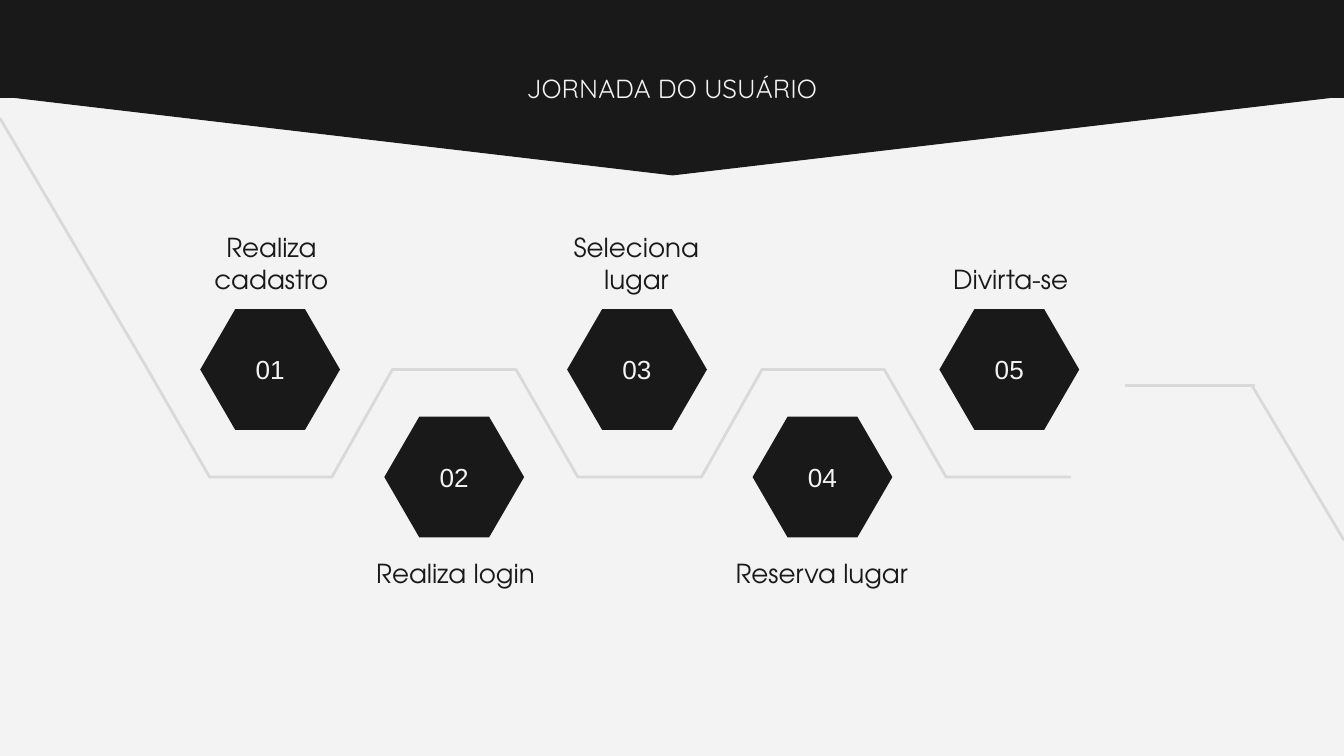
"""Builds the user journey slide: a pointed header and five numbered steps."""
from lxml import etree
from pptx import Presentation, util as u
from pptx.dml.color import RGBColor
from pptx.enum import shapes, text
from pptx.oxml.ns import qn

WIDTH = 10
HEIGHT = WIDTH * 9 / 16
DARK = RGBColor(0x19, 0x19, 0x19)
PALE = RGBColor(0xF3, 0xF3, 0xF3)
TRACK = RGBColor(0xD9, 0xD9, 0xD9)

HEX_W, HEX_H = 1.04, 0.9
ROW_TOPS = (2.3, 3.1)
LABEL_TOPS = (1.82, 4.01)
LABEL_H = 0.47
STEPS = (
    ("Realiza cadastro", 1.49, 1.14, 1.76),
    ("Realiza login", 2.86, 2.53, 1.72),
    ("Seleciona lugar", 4.22, 3.92, 1.63),
    ("Reserva lugar", 5.6, 5.3, 1.63),
    ("Divirta-se", 6.99, 6.64, 1.76),
)
TRACK_XS = (1.1, 1.56, 2.47, 2.92, 3.84, 4.3, 5.22, 5.67, 6.58, 7.04, 7.97)


def inches(*lengths):
    """Convert lengths in inches to slide units."""
    return [u.Inches(length) for length in lengths]


def write(shape, words, font="Arial", color=PALE, anchor=text.MSO_ANCHOR.MIDDLE, margin=0.1):
    """Set centred 14 pt text in a shape."""
    frame = shape.text_frame
    frame.word_wrap = True
    frame.auto_size = text.MSO_AUTO_SIZE.NONE
    frame.vertical_anchor = anchor
    for side in ("left", "right", "top", "bottom"):
        setattr(frame, f"margin_{side}", u.Inches(margin))
    paragraph = frame.paragraphs[0]
    paragraph.alignment = text.PP_ALIGN.CENTER
    run = paragraph.add_run()
    run.text = words
    run.font.name, run.font.size = font, u.Pt(14)
    run.font.color.rgb = color


def add_block(slide, preset, *box):
    """Add a dark preset shape without outline."""
    block = slide.shapes.add_shape(preset, *inches(*box))
    block.shadow.inherit = False
    block.fill.solid()
    block.fill.fore_color.rgb = DARK
    block.line.fill.background()
    return block


def add_header(slide):
    """Draw the pointed banner and put the title on it."""
    point = add_block(slide, shapes.MSO_SHAPE.ISOSCELES_TRIANGLE, -0.01, 0.71, 10.03, 0.59)
    point.rotation = 180
    point.line.color.rgb = DARK
    point.line.width = u.Pt(0.75)
    add_block(slide, shapes.MSO_SHAPE.RECTANGLE, 0, 0, WIDTH, 0.73)
    title = slide.shapes.title
    title.left, title.top, title.width, title.height = inches(3.37, 0.44, 3.26, 0.75)
    write(title, "JORNADA DO USUÁRIO", font="Quicksand", anchor=text.MSO_ANCHOR.TOP)
    slide.shapes._spTree.append(title._element)


def style_track(line):
    """Give a line the colour and width of the track."""
    line.color.rgb = TRACK
    line.width = u.Pt(1.5)


def add_track_line(slide, *ends):
    """Add a straight piece of the track."""
    piece = slide.shapes.add_connector(shapes.MSO_CONNECTOR.STRAIGHT, *inches(*ends))
    style_track(piece.line)
    etree.SubElement(piece._element.spPr, qn("a:effectLst"))


def add_track(slide):
    """Draw the zigzag between the step rows and its ends at the slide edges."""
    upper, lower = (top + HEX_H / 2 for top in ROW_TOPS)
    points = [inches(x, lower if (i + 1) // 2 % 2 else upper) for i, x in enumerate(TRACK_XS)]
    builder = slide.shapes.build_freeform(*points[0])
    builder.add_line_segments(points[1:], close=False)
    zigzag = builder.convert_to_shape()
    zigzag.shadow.inherit = False
    zigzag.fill.background()
    style_track(zigzag.line)
    add_track_line(slide, TRACK_XS[0], upper, 0, 0.88)
    add_track_line(slide, WIDTH, 4.02, 9.31, 2.86)
    add_track_line(slide, 9.34, 2.87, 8.37, 2.87)


def add_step(slide, index, label, hex_left, label_left, label_width):
    """Add a numbered hexagon and its label, alternating between the rows."""
    row = index % 2
    hexagon = add_block(slide, shapes.MSO_SHAPE.HEXAGON, hex_left, ROW_TOPS[row], HEX_W, HEX_H)
    hexagon.adjustments[0] = 0.29
    write(hexagon, f"{index + 1:02}", margin=0)
    caption = slide.shapes.add_textbox(*inches(label_left, LABEL_TOPS[row], label_width, LABEL_H))
    write(caption, label, font="TeX Gyre Adventor", color=DARK, anchor=text.MSO_ANCHOR.BOTTOM)


def main():
    """Build and save the slide."""
    deck = Presentation()
    deck.slide_width, deck.slide_height = inches(WIDTH, HEIGHT)
    slide = deck.slides.add_slide(deck.slide_layouts[5])
    slide.background.fill.solid()
    slide.background.fill.fore_color.rgb = PALE
    add_header(slide)
    add_track(slide)
    for index, step in enumerate(STEPS):
        add_step(slide, index, *step)
    deck.save("out.pptx")


if __name__ == "__main__":
    main()
